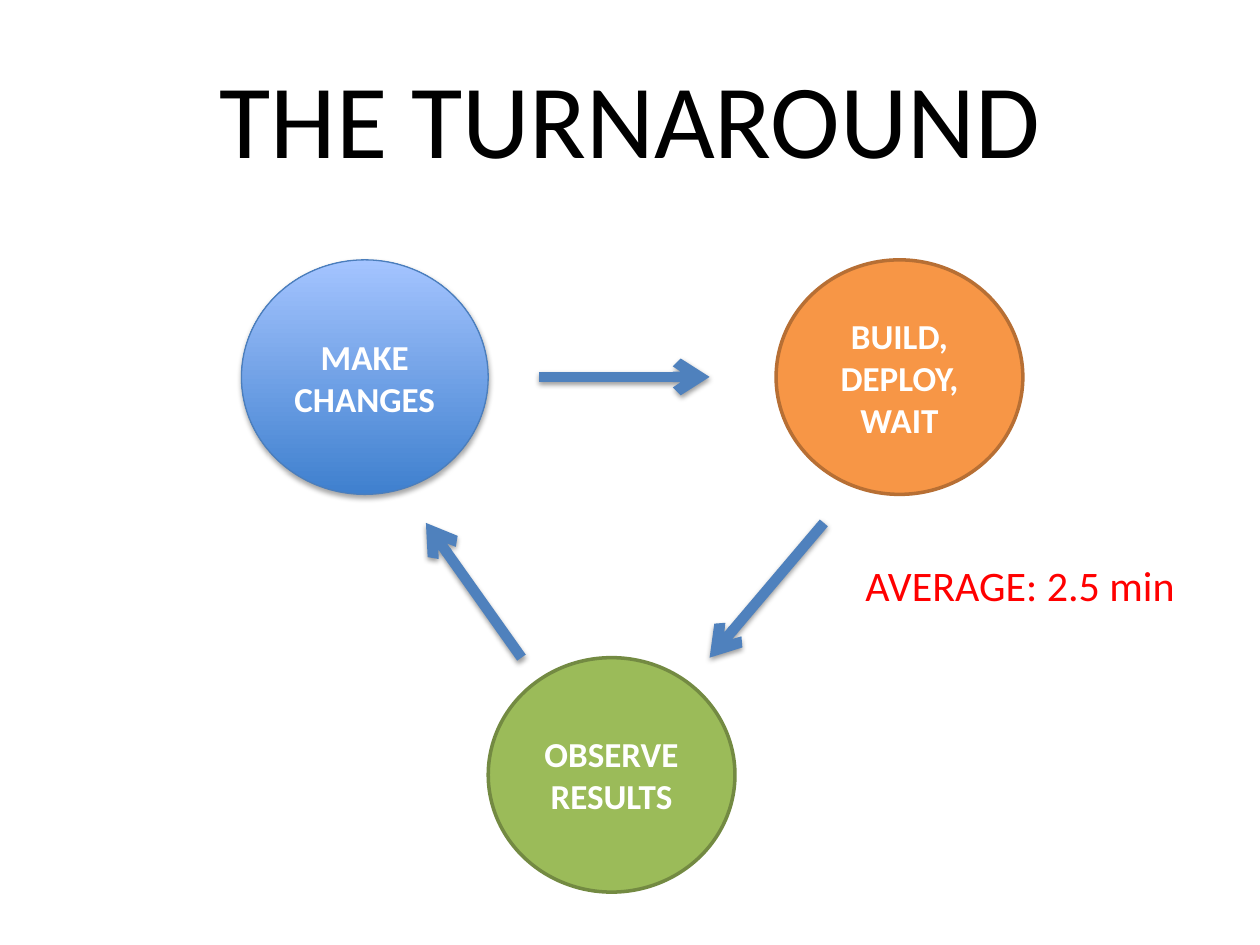
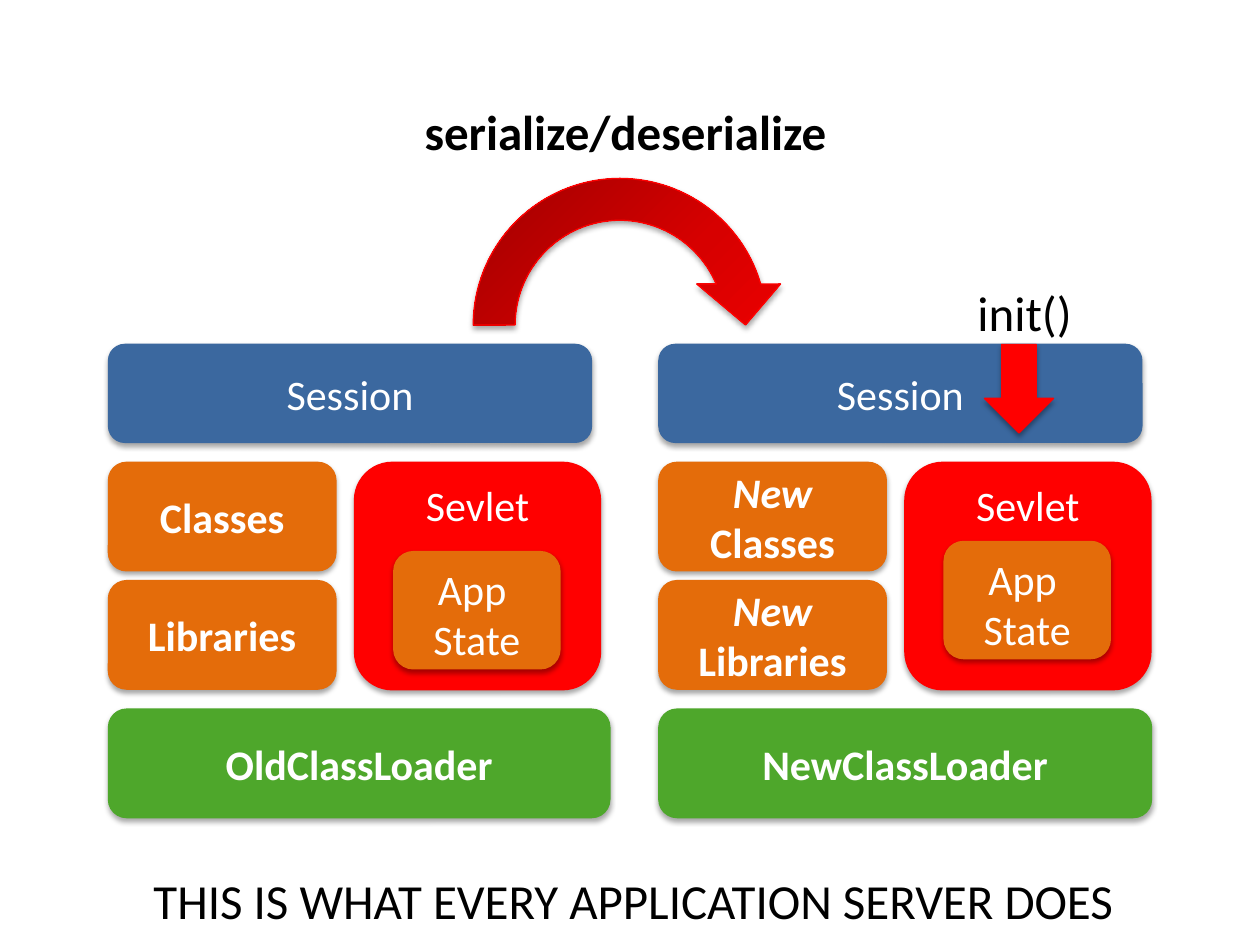
"""Build two slides: the turnaround cycle and a class loader swap."""
import pptx
import pptx.dml.color
import pptx.enum.shapes
import pptx.enum.text
import pptx.oxml
import pptx.oxml.ns
import pptx.util

Pt = pptx.util.Pt
RGBColor = pptx.dml.color.RGBColor
Shape = pptx.enum.shapes.MSO_SHAPE
Anchor = pptx.enum.text.MSO_ANCHOR
Align = pptx.enum.text.PP_ALIGN

FONT = "Calibri"
BLACK = RGBColor(0x00, 0x00, 0x00)
WHITE = RGBColor(0xFF, 0xFF, 0xFF)
RED = RGBColor(0xFF, 0x00, 0x00)
ORANGE = RGBColor(0xE4, 0x6C, 0x0A)
GREEN = RGBColor(0x4E, 0xA7, 0x2B)
NAVY = RGBColor(0x3B, 0x68, 0x9F)
BLUE = RGBColor(0x4F, 0x81, 0xBD)
BLUE_EDGE = RGBColor(0x4B, 0x7E, 0xBC)
BLUE_DARK = RGBColor(0x3F, 0x80, 0xCE)
BLUE_LIGHT = RGBColor(0xA4, 0xC4, 0xFF)
PEACH = RGBColor(0xF7, 0x96, 0x46)
PEACH_EDGE = RGBColor(0xB7, 0x6F, 0x34)
OLIVE = RGBColor(0x9B, 0xBB, 0x59)
OLIVE_EDGE = RGBColor(0x73, 0x8A, 0x42)
NAMESPACE = pptx.oxml.ns.nsdecls("a")


def style_text(box, size, color, bold=False, align=Align.LEFT):
    """Format every run of a box."""
    for para in box.text_frame.paragraphs:
        para.alignment = align
        for span in para.runs:
            span.font.name = FONT
            span.font.size = Pt(size)
            span.font.bold = bold
            span.font.color.rgb = color


def add_shadow(item, alpha=35, distance=1.8):
    """Give a shape or connector a soft shadow below it."""
    item._element.spPr.append(pptx.oxml.parse_xml(
        f'<a:effectLst {NAMESPACE}><a:outerShdw blurRad="{Pt(3.1)}" dist="{Pt(distance)}" '
        f'dir="5400000" rotWithShape="0"><a:srgbClr val="000000">'
        f'<a:alpha val="{alpha * 1000}"/></a:srgbClr></a:outerShdw></a:effectLst>'))


deck = pptx.Presentation()
deck.slide_width, deck.slide_height = Pt(720), Pt(540)
cycle_page = deck.slides.add_slide(deck.slide_layouts[5])
loader_page = deck.slides.add_slide(deck.slide_layouts[6])

title = cycle_page.shapes.title
title.left, title.top, title.width, title.height = Pt(36), Pt(21.6), Pt(648), Pt(90)
title.text_frame.text = "THE TURNAROUND"
style_text(title, 60, BLACK, align=Align.CENTER)

steps = [
    ("MAKE\nCHANGES", 138, 148.5, None, BLUE_EDGE, 0.75),
    ("BUILD,\nDEPLOY,\nWAIT", 443.5, 148.5, PEACH, PEACH_EDGE, 2),
    ("OBSERVE\nRESULTS", 279, 375.8, OLIVE, OLIVE_EDGE, 2),
]
for label, left, top, fill, edge, weight in steps:
    circle = cycle_page.shapes.add_shape(Shape.OVAL, Pt(left), Pt(top), Pt(141), Pt(134))
    circle.line.color.rgb = edge
    circle.line.width = Pt(weight)
    if fill:
        circle.fill.solid()
        circle.fill.fore_color.rgb = fill
        circle.shadow.inherit = False
    else:
        circle.fill.gradient()
        circle.fill.gradient_angle = 90
        for stop, shade in zip(circle.fill.gradient_stops, (BLUE_DARK, BLUE_LIGHT)):
            stop.color.rgb = shade
        for position, stop in enumerate(circle.fill.gradient_stops):
            stop.position = position
        add_shadow(circle)
    circle.text_frame.text = label
    circle.text_frame.vertical_anchor = Anchor.MIDDLE
    style_text(circle, 20, WHITE, True, Align.CENTER)

for ends in [(308, 215.4, 405.5, 215.4), (470.8, 298.8, 405.5, 375.8), (298, 375.8, 243.4, 298.8)]:
    arrow = cycle_page.shapes.add_connector(
        pptx.enum.shapes.MSO_CONNECTOR.STRAIGHT, *[Pt(value) for value in ends])
    arrow.line.color.rgb = BLUE
    arrow.line.width = Pt(6)
    arrow.line._get_or_add_ln().append(
        pptx.oxml.parse_xml(f'<a:tailEnd {NAMESPACE} type="arrow"/>'))
    add_shadow(arrow, 38, 1.6)

ROUND = Shape.ROUNDED_RECTANGLE
MIDDLE, TOP = Anchor.MIDDLE, Anchor.TOP
blocks = []
for lead, loader, left, loader_width, state_top in [
    ("", "OldClassLoader", 62, 286.5, 315.2),
    ("New ", "NewClassLoader", 376.5, 281.5, 309.4),
]:
    blocks += [
        (ROUND, lead, "Classes", left, 264.2, 130, 62, ORANGE, True, MIDDLE),
        (ROUND, lead, "Libraries", left, 331.8, 130, 62, ORANGE, True, MIDDLE),
        (ROUND, "", loader, left, 405.2, loader_width, 62, GREEN, True, MIDDLE),
        (ROUND, "", "Sevlet", left + 140.6, 264.2, 140.6, 130, RED, False, TOP),
        (ROUND, "", "Session", left, 196.8, 276, 56, NAVY, False, MIDDLE),
        (ROUND, "", "App \vState", left + 163, state_top, 95, 67, ORANGE, False, TOP),
    ]
blocks += [
    (Shape.DOWN_ARROW, "", "", 562.5, 196.8, 39.5, 50.6, RED, False, MIDDLE),
    (Shape.CIRCULAR_ARROW, "", "", 258.5, 90, 191.5, 191.5, RED, False, MIDDLE),
]
for kind, lead, label, left, top, width, height, color, bold, anchor in blocks:
    block = loader_page.shapes.add_shape(kind, Pt(left), Pt(top), Pt(width), Pt(height))
    block.fill.solid()
    block.fill.fore_color.rgb = color
    block.line.color.rgb = color
    block.line.width = Pt(0.75)
    add_shadow(block)
    block.text_frame.vertical_anchor = anchor
    para = block.text_frame.paragraphs[0]
    para.text = lead or label
    if lead:
        para.runs[0].font.italic = True
        para.add_run().text = label
    style_text(block, 24, WHITE, bold, Align.CENTER)

curve = block._element.spPr
stops = "".join(
    f'<a:gs pos="{position}"><a:srgbClr val="{shade}"/></a:gs>'
    for position, shade in [(0, "970000"), (50000, "D70000"), (100000, "FF0000")])
curve.replace(curve.find(pptx.oxml.ns.qn("a:solidFill")), pptx.oxml.parse_xml(
    f'<a:gradFill {NAMESPACE} rotWithShape="1"><a:gsLst>{stops}</a:gsLst>'
    '<a:path path="circle"><a:fillToRect r="100000" b="100000"/></a:path></a:gradFill>'))

captions = [
    (cycle_page, "AVERAGE: 2.5 min", 487.5, 316, 194.5, 36, 24, RED, False, False),
    (loader_page, "init()", 551.5, 157.7, 86.5, 41, 28, BLACK, False, True),
    (loader_page, "serialize/deserialize", 235.5, 54.7, 300, 41, 28, BLACK, True, True),
    (loader_page, "THIS IS WHAT EVERY APPLICATION SERVER DOES",
     80.6, 494, 574.6, 41, 28, BLACK, False, False),
]
for page, label, left, top, width, height, size, color, bold, wrap in captions:
    caption = page.shapes.add_textbox(Pt(left), Pt(top), Pt(width), Pt(height))
    caption.text_frame.text = label
    caption.text_frame.word_wrap = wrap
    caption.text_frame.auto_size = pptx.enum.text.MSO_AUTO_SIZE.SHAPE_TO_FIT_TEXT
    style_text(caption, size, color, bold)

deck.save("out.pptx")
